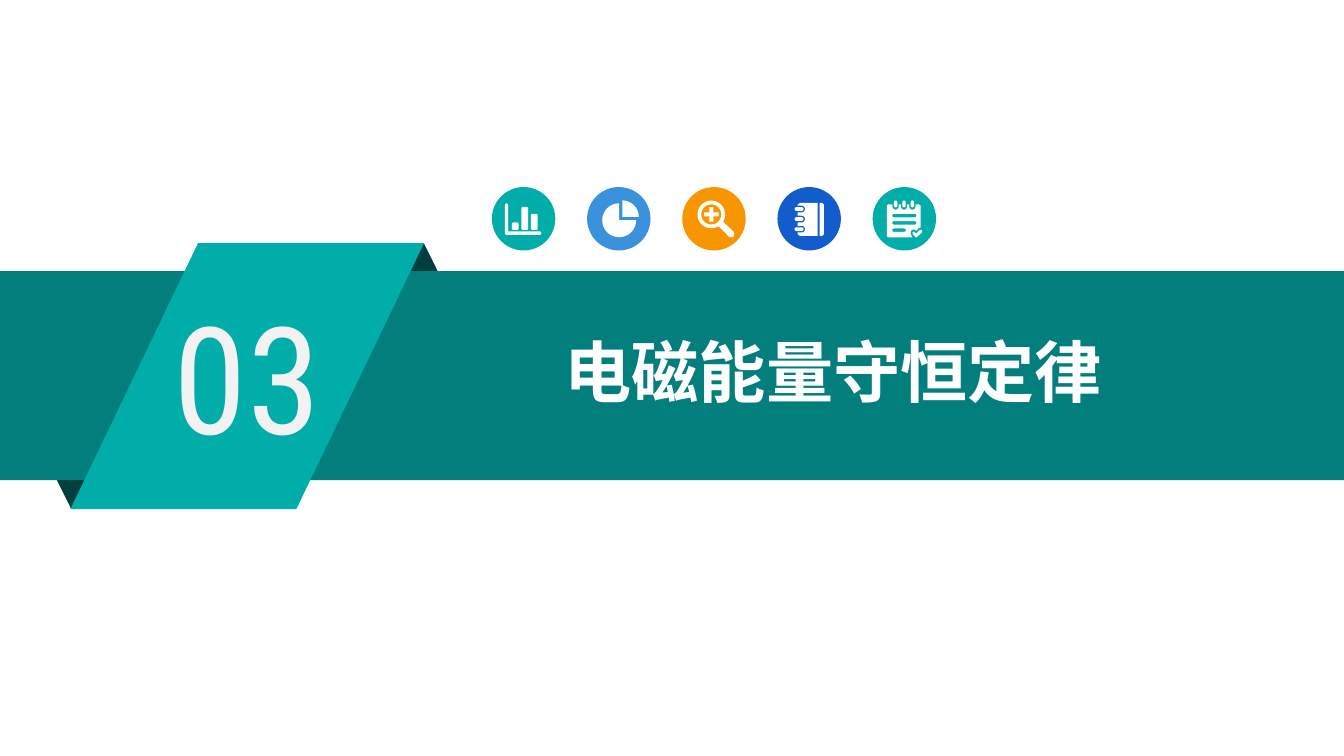
from math import cos, radians, sin

from lxml.etree import SubElement
from pptx import Presentation
from pptx.dml.color import RGBColor
from pptx.enum.shapes import MSO_SHAPE as Preset
from pptx.enum.text import MSO_AUTO_SIZE as AutoSize, PP_ALIGN as Align
from pptx.oxml.ns import qn
from pptx.util import Pt

COLORS = {
    "band": "027F7D", "teal": "00ADA9", "fold": "013F3F", "sky": "3992DB",
    "orange": "F79600", "blue": "125CCB", "white": "FFFFFF", "number": "F2F2F2",
}


class Painter:
    def __init__(self, page):
        self.page = page

    def paint(self, shape, color):
        shape.shadow.inherit = False
        shape.fill.solid()
        shape.fill.fore_color.rgb = RGBColor.from_string(COLORS[color])
        shape.line.fill.background()
        return shape

    def shape(self, preset, left, top, width, height, color):
        shape = self.page.shapes.add_shape(preset, Pt(left), Pt(top), Pt(width), Pt(height))
        return self.paint(shape, color)

    def outline(self, left, top, contours, color):
        builder = None
        for contour in contours:
            points = [(Pt(left + x), Pt(top + y)) for x, y in contour]
            if builder is None:
                builder = self.page.shapes.build_freeform(*points[0], scale=1.0)
            else:
                builder.move_to(*points[0])
            builder.add_line_segments(points[1:], close=True)
        return self.paint(builder.convert_to_shape(), color)

    def text(self, left, top, width, height, words, size, font, color, align, bold=False):
        box = self.page.shapes.add_textbox(Pt(left), Pt(top), Pt(width), Pt(height))
        frame = box.text_frame
        frame.word_wrap = True
        frame.auto_size = AutoSize.SHAPE_TO_FIT_TEXT
        frame.margin_left = frame.margin_right = Pt(5.4)
        frame.margin_top = frame.margin_bottom = Pt(2.8)
        para = frame.paragraphs[0]
        para.alignment = align
        span = para.add_run()
        span.text = words
        span.font.size = Pt(size)
        span.font.bold = bold
        span.font.name = font
        span.font.color.rgb = RGBColor.from_string(COLORS[color])
        SubElement(span._r.get_or_add_rPr(), qn("a:ea")).set("typeface", font)


def arc(x, y, radius, start=0, end=360, steps=24):
    angles = [radians(start + (end - start) * i / steps) for i in range(steps + 1)]
    return [(x + radius * cos(a), y + radius * sin(a)) for a in angles]


def rounded(left, top, right, bottom, radius):
    corners = [(right, bottom), (left, bottom), (left, top), (right, top)]
    points = []
    for i, (x, y) in enumerate(corners):
        center_x = x - radius if x == right else x + radius
        center_y = y - radius if y == bottom else y + radius
        points += arc(center_x, center_y, radius, 90 * i, 90 * i + 90, 6)
    return points


def bar_icon():
    axis = (arc(7.9, 9.7, 0.9, 180, 360, 8) + [(8.8, 23.8)]
            + arc(25.6, 24.7, 0.9, -90, 90, 8) + arc(7.9, 24.7, 0.9, 90, 180, 6))
    bars = [rounded(10.7 + 5.1 * i, top, 14.4 + 5.1 * i, 23, 0.9)
            for i, top in enumerate((19, 10.7, 14.4))]
    return [axis] + bars


def pie_icon():
    return [[(17.2, 17.8)] + arc(17.2, 17.8, 9.1, 0, 270),
            [(18.9, 16)] + arc(18.9, 16, 8.8, -90, 0)]


def zoom_icon():
    x, y, long, short = 15.6, 14.7, 3.9, 1.1
    handle = [(27.5, 23.8), (28, 25.2), (27.5, 26.6), (26.3, 27), (25, 26.6)]
    plus = [(-short, -long), (short, -long), (short, -short), (long, -short),
            (long, short), (short, short), (short, long), (-short, long),
            (-short, short), (-long, short), (-long, -short), (-short, -short)]
    return [arc(x, y, 7.4, 58, 392, 36) + handle, arc(x, y, 5.4),
            [(x + dx, y + dy) for dx, dy in plus]]


def notebook_icon():
    rings = [11.8 + 5.4 * i for i in range(3)]
    cover = [(21.5, 26.2), (21.5, 8.5), (12, 8.5), (10.9, 9.5)]
    for y in rings:
        cover += [(10.9, y - 1.8)] + arc(13, y, 1.8, -90, 90, 10) + [(10.9, y + 1.8)]
    cover += [(10.9, 25.4), (12, 26.2)]
    spine = [(22.6, 8.5), (24.1, 8.5), (24.9, 9.4), (24.9, 25.3), (24.1, 26.2), (22.6, 26.2)]
    return [cover, spine] + [rounded(9.2, y - 1, 14, y + 1, 1) for y in rings]


def notes_icon():
    pins = [12.3 + 4.5 * i for i in range(3)]
    paper = [(7.6, 10), (8.3, 9.3)]
    for x in pins:
        paper += [(x - 1.7, 9.3)] + arc(x, 10.4, 1.7, 180, 0, 10) + [(x + 1.7, 9.3)]
    paper += [(25, 9.3), (25.7, 10), (25.7, 21.6), (24.4, 22.2), (23.6, 23.4),
              (22, 22.6), (20.6, 23.3), (20.3, 25), (21.3, 27), (8.3, 27), (7.6, 26.3)]
    lines = [rounded(10.5, 14.4 + 3.9 * i, right, 16.2 + 3.9 * i, 0.9)
             for i, right in enumerate((23.5, 23.5, 17.8))]
    tick = [(26.5, 24.2), (23.6, 27), (23.1, 27), (21.4, 25.2), (21.5, 24.2), (22.1, 23.9),
            (23.4, 24.9), (25.2, 23), (26, 22.9), (26.5, 23.4)]
    return [paper, tick] + lines + [rounded(x - 0.9, 7.2, x + 0.9, 10.9, 0.9) for x in pins]


ICONS = [("teal", bar_icon), ("sky", pie_icon), ("orange", zoom_icon),
         ("blue", notebook_icon), ("teal", notes_icon)]

deck = Presentation()
deck.slide_width, deck.slide_height = Pt(720), Pt(405)
painter = Painter(deck.slides.add_slide(deck.slide_layouts[6]))

painter.shape(Preset.ISOSCELES_TRIANGLE, 194.5, 130.2, 65, 65.5, "fold")
lower_fold = painter.shape(Preset.ISOSCELES_TRIANGLE, 5.6, 207.1, 65, 65.5, "fold")
lower_fold.rotation = 180
painter.shape(Preset.RECTANGLE, 0, 145.3, 720, 112, "band")
ribbon = painter.shape(Preset.PARALLELOGRAM, 37.8, 130.2, 189.4, 142.5, "teal")
ribbon.adjustments[0] = 0.48

painter.text(87.8, 149.8, 104.4, 102.2, "03", 80, "Roboto Condensed", "number", Align.LEFT)
painter.text(254.9, 174.2, 383, 49, "电磁能量守恒定律", 36, "Noto Sans CJK SC", "white",
             Align.CENTER, True)

for index, (color, icon) in enumerate(ICONS):
    left, top = 263.5 + 51 * index, 100.2
    painter.shape(Preset.OVAL, left, top, 34, 34, color)
    painter.outline(left, top, icon(), "white")

deck.save("out.pptx")
